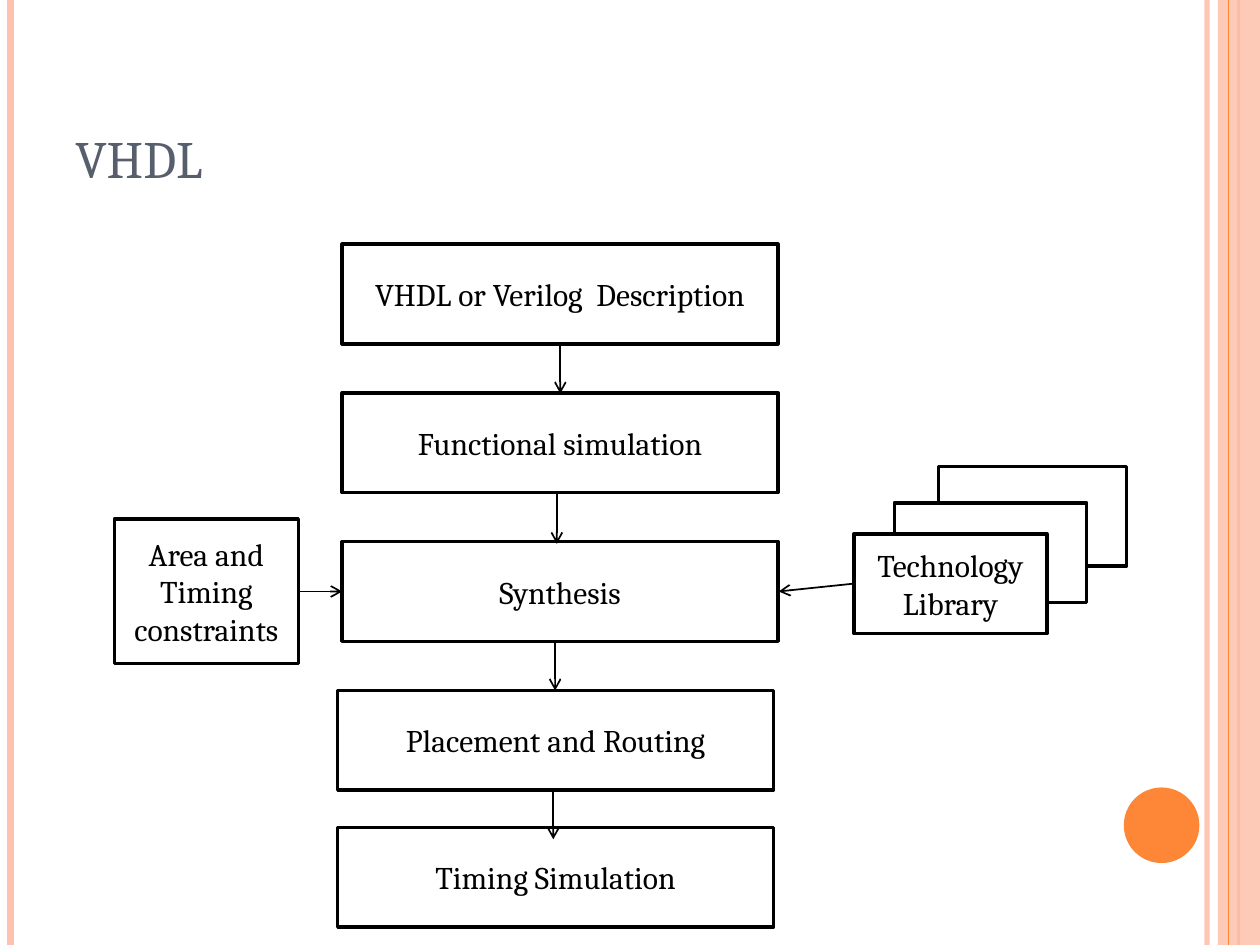
from dataclasses import dataclass

from lxml.etree import SubElement
from pptx import Presentation
from pptx.dml.color import RGBColor as Rgb
from pptx.enum.shapes import MSO_CONNECTOR as Link, MSO_SHAPE as Kind
from pptx.enum.text import MSO_ANCHOR as Anchor, PP_ALIGN as Align
from pptx.oxml.ns import qn
from pptx.util import Pt

INK, PEACH, ORANGE, SLATE, WHITE = "000000", "FEC3AE", "FE8637", "575F6D", "FFFFFF"
TALL = 540
FLOW_W, BOX_H = 249, 57


@dataclass
class Box:
    """A framed box of the flow chart."""
    left: float
    top: float
    wide: float = FLOW_W
    high: float = BOX_H
    text: str = ""


@dataclass
class Line:
    """A straight line, with an arrowhead at its end if asked."""
    x1: float
    y1: float
    x2: float
    y2: float
    color: str = INK
    width: float = 1
    alpha: int = 100
    arrow: bool = False


def rgb(code: str) -> Rgb:
    """Turn a hex string into a colour."""
    return Rgb.from_string(code)


def fade(part, alpha: int) -> None:
    """Set the opacity, in percent, of the solid fill inside part."""
    if alpha < 100:
        color = next(part.iter(qn("a:srgbClr")))
        SubElement(color, qn("a:alpha"), val=str(alpha * 1000))


def put(frame, text: str, size: float, color: str, align, anchor) -> None:
    """Write one formatted paragraph into a text frame."""
    frame.word_wrap = True
    frame.vertical_anchor = anchor
    para = frame.paragraphs[0]
    para.alignment = align
    run = para.add_run()
    run.text = text
    for name, value in {"name": "Cambria", "size": Pt(size)}.items():
        setattr(run.font, name, value)
    run.font.color.rgb = rgb(color)


def shape(slide, kind, left, top, wide, high, fill: str, alpha: int = 100):
    """Add a filled shape with no line and no shadow."""
    form = slide.shapes.add_shape(kind, Pt(left), Pt(top), Pt(wide), Pt(high))
    form.shadow.inherit = False
    form.fill.solid()
    form.fill.fore_color.rgb = rgb(fill)
    form.line.fill.background()
    fade(form.fill._xPr, alpha)
    return form


def draw_box(slide, box: Box) -> None:
    """Draw a white box with a black frame and its label."""
    form = shape(slide, Kind.RECTANGLE, box.left, box.top, box.wide, box.high, WHITE)
    form.line.color.rgb = rgb(INK)
    form.line.width = Pt(2)
    if box.text:
        put(form.text_frame, box.text, 18, INK, Align.CENTER, Anchor.MIDDLE)


def draw_line(slide, line: Line) -> None:
    """Draw a line or an arrow."""
    ends = [Pt(v) for v in (line.x1, line.y1, line.x2, line.y2)]
    link = slide.shapes.add_connector(Link.STRAIGHT, *ends)
    link.line.color.rgb = rgb(line.color)
    link.line.width = Pt(line.width)
    props = link._element.spPr
    fade(props, line.alpha)
    if line.arrow:
        SubElement(props.find(qn("a:ln")), qn("a:tailEnd"), type="arrow")
    SubElement(props, qn("a:effectLst"))


def rule(x: float, color: str, width: float, alpha: int = 100) -> Line:
    """Make a border line over the full height."""
    return Line(x, 0, x, TALL, color, width, alpha)


def drop(x: float, top: float) -> Line:
    """Make an arrow that leads down to the next step."""
    return Line(x, top, x, top + 28.3, arrow=True)


deck = Presentation()
deck.slide_width, deck.slide_height = Pt(720), Pt(TALL)
slide = deck.slides.add_slide(deck.slide_layouts[6])

for edge in (rule(689.8, PEACH, 3, 93), rule(6, PEACH, 4.5), rule(707.8, ORANGE, 1.5)):
    draw_line(slide, edge)
shape(slide, Kind.RECTANGLE, 696, 0, 24, TALL, PEACH, 87)
draw_line(slide, rule(702, ORANGE, 0.75))
shape(slide, Kind.OVAL, 642.2, 450, 43.2, 43.2, ORANGE)

title = slide.shapes.add_textbox(Pt(36), Pt(21.6), Pt(588), Pt(90))
put(title.text_frame, "VHDL", 30, SLATE, Align.LEFT, Anchor.BOTTOM)

STEPS = ["VHDL or Verilog  Description", "Functional simulation", "Synthesis"]
boxes = [Box(195.6, 139.5 + 85 * i, text=step) for i, step in enumerate(STEPS)]
boxes += [
    Box(193, 394.5, text="Placement and Routing"),
    Box(193, 472.8, text="Timing Simulation"),
    Box(65.3, 296.7, 105.2, 82.5, "Area and Timing constraints"),
    Box(536.4, 266.5, 107.3),
    Box(511.2, 287.3, 109.7),
    Box(488, 305, 110.2, text="Technology Library"),
]
for box in boxes:
    draw_box(slide, box)

arrows = [
    drop(320.2, 196.6),
    drop(318.2, 282.5),
    drop(317.2, 366.3),
    drop(316.2, 451.3),
    Line(170.5, 338, 195.6, 338, arrow=True),
    Line(488, 333.5, 445, 338, arrow=True),
]
for arrow in arrows:
    draw_line(slide, arrow)

deck.save("out.pptx")
